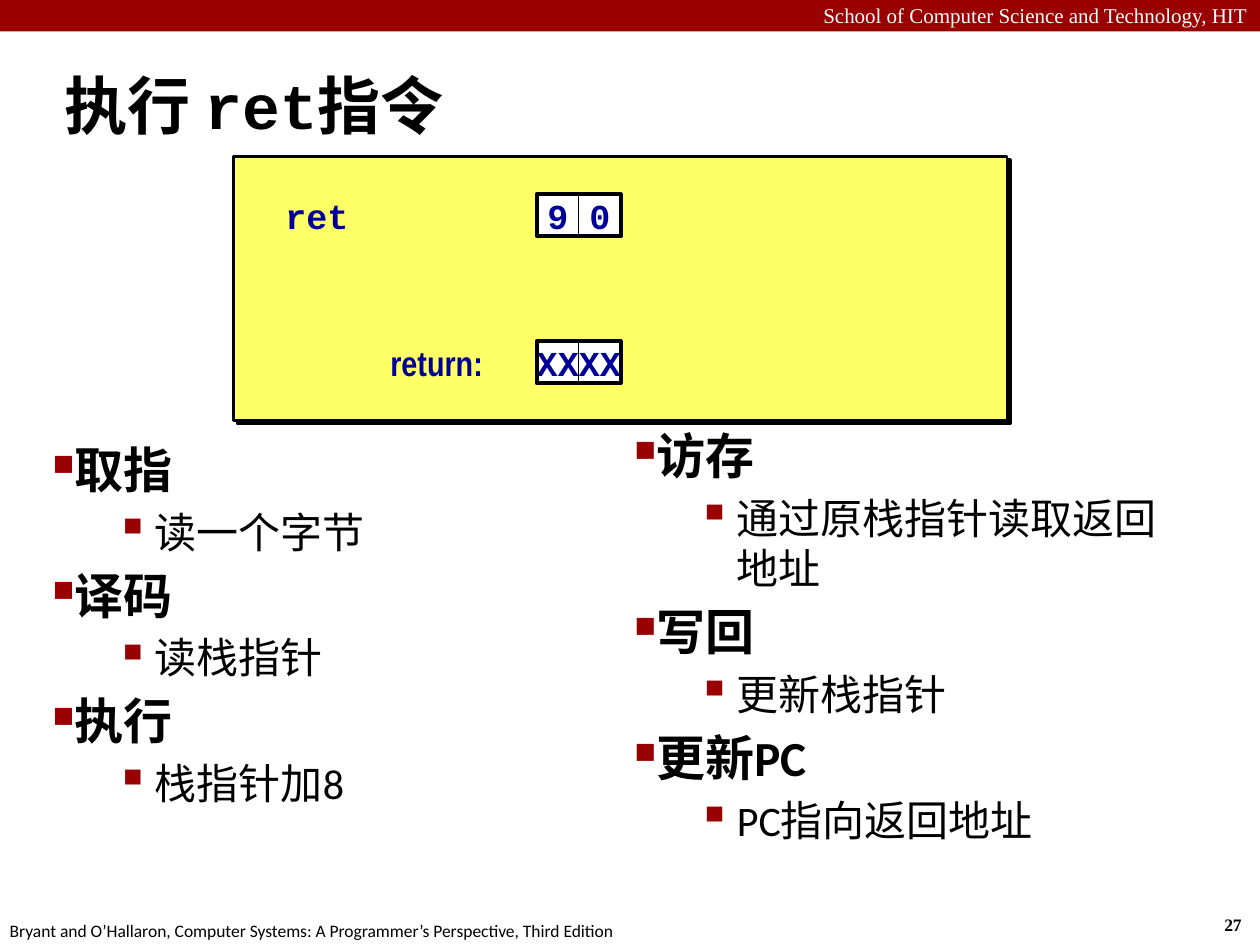
from lxml.etree import SubElement
from pptx import Presentation
from pptx.dml.color import RGBColor
from pptx.enum.shapes import MSO_SHAPE as SHAPE
from pptx.enum.text import MSO_ANCHOR as ANCHOR, PP_ALIGN as ALIGN
from pptx.oxml.ns import qn
from pptx.util import Pt

# Content
HEADER = "School of Computer Science and Technology, HIT"
FOOTER = ("Bryant and O’Hallaron, Computer Systems: "
          "A Programmer’s Perspective, Third Edition")
PAGE = "27"
TITLE = [("执行 ", "title"), ("ret指令", "title_code")]
COLUMNS = [
    ((23, 247.5, 321, 260), [("取指", "读一个字节"),
                             ("译码", "读栈指针"),
                             ("执行", "栈指针加8")]),
    ((355.5, 239.5, 321, 285), [("访存", "通过原栈指针读取返回地址"),
                                ("写回", "更新栈指针"),
                                ("更新PC", "PC指向返回地址")]),
]
# label, label style, label left, label width, row top, bytes
ROWS = [("ret", "code", 156, 150.5, 111, ["9", "0"]),
        ("return:", "label", 216, 88, 195, ["XX", "XX"])]

THEME = {
    "red": "990000", "panel": "FFFF66", "white": "FFFFFF", "black": "000000",
    # style: font, size, bold, colour
    "header": ("Times New Roman", 12, False, "FFFFFF"),
    "page": ("Times New Roman", 10, True, "000000"),
    "footer": ("Calibri", 10, False, "000000"),
    "title": ("Calibri", 36, True, "000000"),
    "title_code": ("Courier New", 36, True, "000000"),
    "stage": ("Calibri", 28, True, "000000"),
    "detail": ("Calibri", 24, False, "000000"),
    "code": ("Courier New", 20, True, "000099"),
    "label": ("Arial Narrow", 20, True, "000099"),
}
# style: bullet, size in percent, left margin, first-line indent, space before
BULLETS = {"stage": ("■", 60, 0, 0, 5), "detail": ("▪", 110, 58.5, -22.5, 4.5)}
CELL = 24
CELLS_LEFT = 306.75


def rgb(name):
    return RGBColor.from_string(THEME[name])


def add_run(p, text, style):
    font, size, bold, color = THEME[style]
    r = p.add_run()
    r.text = text
    r.font.name, r.font.size, r.font.bold = font, Pt(size), bold
    r.font.color.rgb = RGBColor.from_string(color)
    SubElement(r.font._element, qn("a:ea"), typeface=font)


def text_box(s, box, runs=(), wrap=True, align=ALIGN.LEFT, anchor=ANCHOR.TOP):
    tf = s.shapes.add_textbox(*map(Pt, box)).text_frame
    tf.word_wrap, tf.vertical_anchor = wrap, anchor
    p = tf.paragraphs[0]
    p.alignment = align
    for text, style in runs:
        add_run(p, text, style)
    return tf


def set_indent(p, left, first):
    pPr = p._p.get_or_add_pPr()
    pPr.set("marL", str(Pt(left)))
    pPr.set("indent", str(Pt(first)))
    return pPr


def add_bullet(p, style):
    char, size, left, first, before = BULLETS[style]
    pPr = set_indent(p, left, first)
    color = SubElement(pPr, qn("a:buClr"))
    SubElement(color, qn("a:srgbClr"), val=THEME["red"])
    SubElement(pPr, qn("a:buSzPct"), val=str(size * 1000))
    SubElement(pPr, qn("a:buChar"), char=char)
    return before


def rect(shapes, box, fill=None, line=None):
    sp = shapes.add_shape(SHAPE.RECTANGLE, *map(Pt, box))
    sp.shadow.inherit = False
    if fill:
        sp.fill.solid()
        sp.fill.fore_color.rgb = rgb(fill)
    else:
        sp.fill.background()
    if line:
        sp.line.color.rgb = rgb("black")
        sp.line.width = Pt(line)
    else:
        sp.line.fill.background()
    return sp


def add_shadow(sp, distance, degrees):
    effects = sp._element.spPr.find(qn("a:effectLst"))
    shadow = SubElement(effects, qn("a:outerShdw"), dist=str(Pt(distance)),
                        dir=str(degrees * 60000), algn="ctr", rotWithShape="0")
    SubElement(shadow, qn("a:srgbClr"), val=THEME["black"])


def add_bytes(s, top, values):
    group = s.shapes.add_group_shape()
    for i, value in enumerate(values):
        box = (CELLS_LEFT + i * CELL, top, CELL, CELL)
        tf = rect(group.shapes, box, "white", 0.5).text_frame
        tf.word_wrap, tf.vertical_anchor = False, ANCHOR.MIDDLE
        tf.paragraphs[0].alignment = ALIGN.CENTER
        add_run(tf.paragraphs[0], value, "code")
    rect(group.shapes, (CELLS_LEFT, top, CELL * len(values), CELL), line=2.25)


def add_stages(s, box, stages):
    tf = text_box(s, box)
    lines = [line for stage in stages for line in zip(stage, BULLETS)]
    for i, (text, style) in enumerate(lines):
        p = tf.add_paragraph() if i else tf.paragraphs[0]
        p.level = list(BULLETS).index(style)
        before = add_bullet(p, style)
        if i:
            p.space_before = Pt(before)
        add_run(p, text, style)


def main():
    prs = Presentation()
    prs.slide_width, prs.slide_height = Pt(720), Pt(540)
    s = prs.slides.add_slide(prs.slide_layouts[6])

    # Header band, page number and footer
    rect(s.shapes, (0, 0, 720, 18), "red")
    text_box(s, (0, -2, 720, 21.5), [(HEADER, "header")], align=ALIGN.RIGHT)
    text_box(s, (692.5, 519, 27, 19.5), [(PAGE, "page")], wrap=False)
    text_box(s, (-1.5, 522, 366, 19.5), [(FOOTER, "footer")], wrap=False)

    # Title and the two columns of stages
    tf = text_box(s, (29.5, 29.5, 685, 60), TITLE, anchor=ANCHOR.MIDDLE)
    set_indent(tf.paragraphs[0], 9.5, -9.5)
    for box, stages in COLUMNS:
        add_stages(s, box, stages)

    # Instruction encoding panel
    add_shadow(rect(s.shapes, (133.5, 89.25, 442, 151), "panel", 1.5), 2.8, 45)
    for label, style, left, width, top, values in ROWS:
        text_box(s, (left, top, width, CELL), [(label, style)],
                 wrap=False, anchor=ANCHOR.MIDDLE)
        add_bytes(s, top, values)

    prs.save("out.pptx")


if __name__ == "__main__":
    main()
